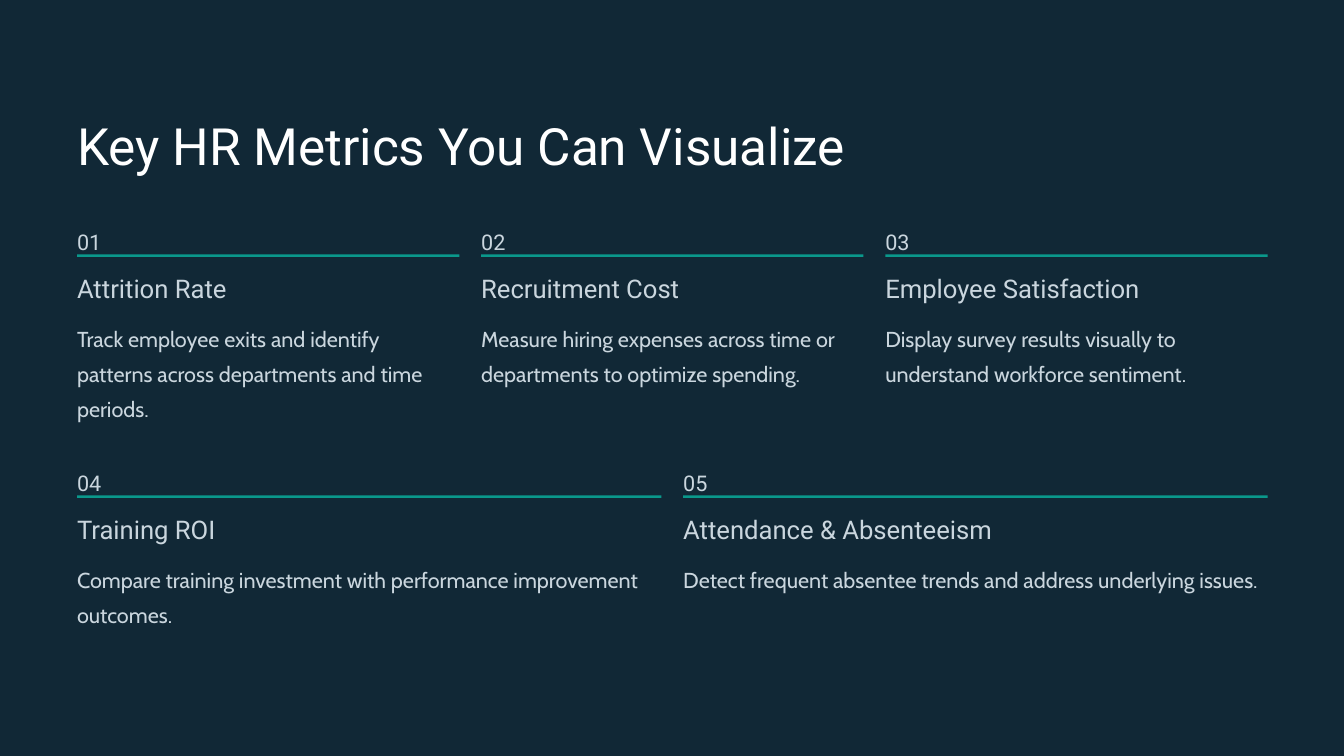
"""Build the slide on key HR metrics."""
import pptx
import pptx.util
import pptx.dml.color
import pptx.enum.shapes
import pptx.enum.text

Cm = pptx.util.Cm
Pt = pptx.util.Pt

TITLE = "Key HR Metrics You Can Visualize"
ROWS = [
    (6.65, [
        ("Attrition Rate", 7.82, 3.2,
         "Track employee exits and identify patterns across departments and time periods."),
        ("Recruitment Cost", 8.31, 2.13,
         "Measure hiring expenses across time or departments to optimize spending."),
        ("Employee Satisfaction", 10.57, 2.13,
         "Display survey results visually to understand workforce sentiment."),
    ]),
    (13.94, [
        ("Training ROI", 7.82, 2.13,
         "Compare training investment with performance improvement outcomes."),
        ("Attendance & Absenteeism", 12.78, 2.13,
         "Detect frequent absentee trends and address underlying issues."),
    ]),
]

NAVY, TEAL, WHITE, PALE = "112836", "0A988B", "FFFFFF", "CAD6DE"
LEFT, SPAN, GAP = 2.33, 36, 0.66
HEAD = {"name": "Roboto", "size": Pt(44), "lead": Pt(55), "color": WHITE}
NUMBER = {"name": "Roboto", "size": Pt(18.5), "lead": Pt(30), "color": PALE}
LABEL = {"name": "Roboto", "size": Pt(22), "lead": Pt(27.5), "color": PALE}
BODY = {"name": "Cabin", "size": Pt(18.5), "lead": Pt(30), "color": PALE}
FRAME = {
    "margin_left": 0, "margin_right": 0, "margin_top": 0, "margin_bottom": 0,
    "auto_size": pptx.enum.text.MSO_AUTO_SIZE.NONE,
    "vertical_anchor": pptx.enum.text.MSO_ANCHOR.TOP,
}


def paint(fmt, color):
    """Give a font or fill one solid colour."""
    fill = getattr(fmt, "fill", fmt)
    fill.solid()
    fill.fore_color.rgb = pptx.dml.color.RGBColor.from_string(color)


def write(box, text, style, wrap=False):
    """Put one styled paragraph in a box."""
    frame = box.text_frame
    for key, value in FRAME.items():
        setattr(frame, key, value)
    frame.word_wrap = wrap
    para = frame.paragraphs[0]
    para.alignment = pptx.enum.text.PP_ALIGN.LEFT
    para.line_spacing = style["lead"]
    para.space_before = Pt(0)
    run = para.add_run()
    run.text = text
    for key in ("name", "size"):
        setattr(run.font, key, style[key])
    paint(run.font, style["color"])


def add_text(slide, place, text, style, wrap=False):
    """Add a text box at a place given in centimetres."""
    box = slide.shapes.add_textbox(*map(Cm, place))
    write(box, text, style, wrap)


def add_card(slide, left, top, width, number, card):
    """Add one metric: number, rule, label and body."""
    label, wide, high, body = card
    add_text(slide, (left, top, 0.66, 0.85), f"{number:02d}", NUMBER)
    rule = slide.shapes.add_shape(
        pptx.enum.shapes.MSO_SHAPE.RECTANGLE,
        *map(Cm, (left, top + 1.04, width, 0.08)))
    rule.shadow.inherit = False
    paint(rule, TEAL)
    rule.line.fill.background()
    add_text(slide, (left, top + 1.55, wide, 0.97), label, LABEL)
    add_text(slide, (left, top + 2.92, width, high), body, BODY, True)


def main():
    """Make and save the deck."""
    deck = pptx.Presentation()
    deck.slide_width, deck.slide_height = Cm(40.64), Cm(22.86)
    slide = deck.slides.add_slide(deck.slide_layouts[5])
    paint(slide.background, NAVY)
    title = slide.shapes.title
    place = {"left": LEFT, "top": 3.38, "width": 30.68, "height": 1.96}
    for key, value in place.items():
        setattr(title, key, Cm(value))
    write(title, TITLE, HEAD)
    number = 0
    for top, cards in ROWS:
        width = (SPAN - GAP * (len(cards) - 1)) / len(cards)
        for col, card in enumerate(cards):
            number += 1
            left = LEFT + col * (width + GAP)
            add_card(slide, left, top, width, number, card)
    deck.save("out.pptx")


if __name__ == "__main__":
    main()
